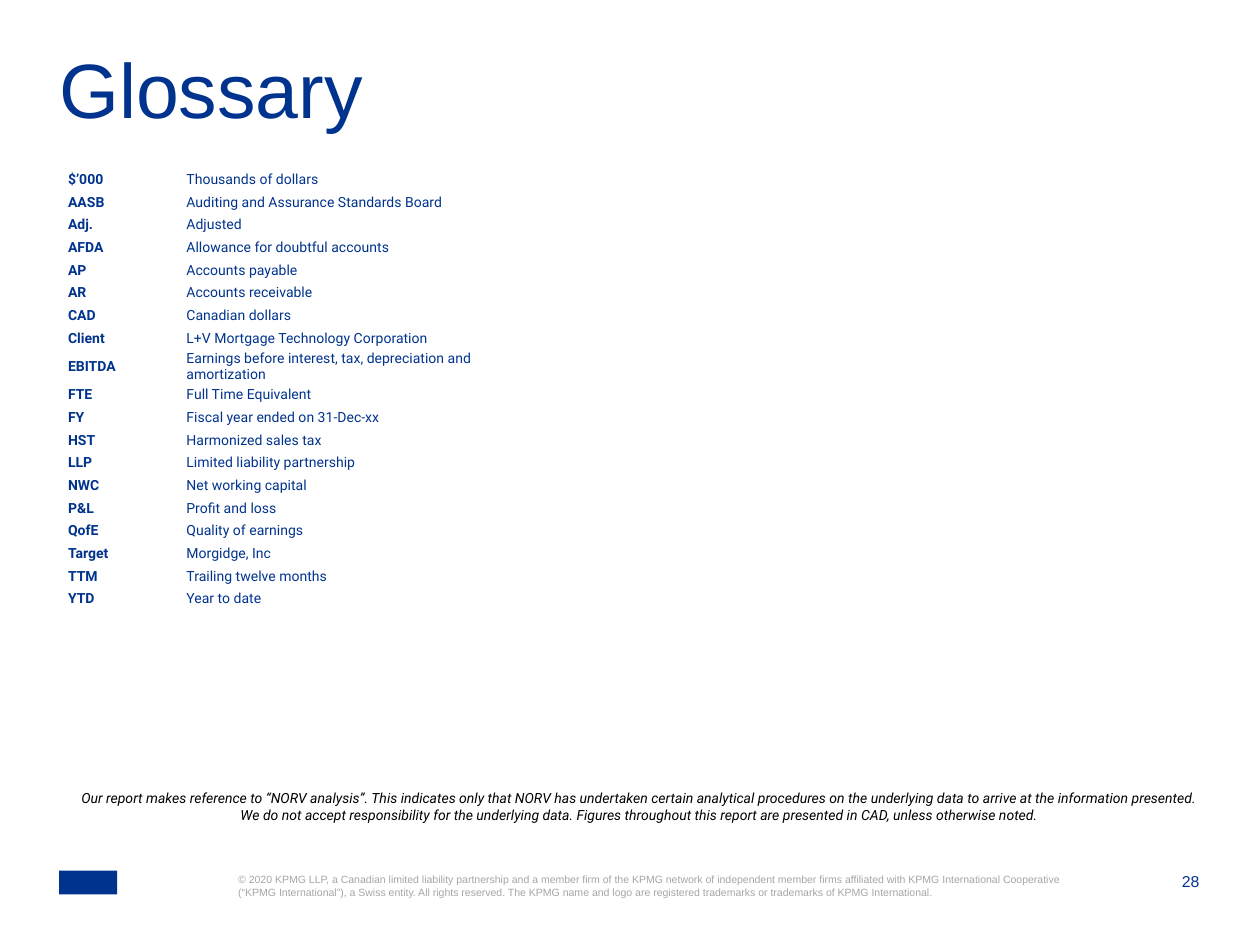
from dataclasses import dataclass

from pptx import Presentation
from pptx.dml.color import RGBColor
from pptx.enum.shapes import MSO_SHAPE
from pptx.enum.text import MSO_ANCHOR, MSO_AUTO_SIZE, PP_ALIGN
from pptx.util import Inches, Pt

WIDTH, HEIGHT = Inches(10), Inches(7.5)
COLOURS = {"blue": "00338D", "grey": "A6A6A6", "black": "000000"}


@dataclass(frozen=True)
class Area:
    """A rectangle in percent of the slide's width and height."""
    left: float
    top: float
    width: float
    height: float

    def lengths(self) -> tuple[int, int, int, int]:
        return (across(self.left), down(self.top),
                across(self.width), down(self.height))


@dataclass(frozen=True)
class Term:
    short: str
    meaning: str


TITLE_AREA = Area(4.7, 7.07, 90.6, 10.67)
TABLE_AREA = Area(5.3, 17.73, 37.7, 45.6)
NOTE_AREA = Area(5.3, 82.93, 91, 4.93)
MARK_AREA = Area(4.7, 92.13, 4.6, 2.53)
COPYRIGHT_AREA = Area(18.9, 92.4, 69.1, 2.67)
NUMBER_AREA = Area(91.5, 92.13, 3.7, 2.13)
COLUMN_WIDTHS = (9.4, 28.3)

TERMS = [
    Term("$’000", "Thousands of dollars"),
    Term("AASB", "Auditing and Assurance Standards Board"),
    Term("Adj.", "Adjusted"),
    Term("AFDA", "Allowance for doubtful accounts"),
    Term("AP", "Accounts payable"),
    Term("AR", "Accounts receivable"),
    Term("CAD", "Canadian dollars"),
    Term("Client", "L+V Mortgage Technology Corporation"),
    Term("EBITDA", "Earnings before interest, tax, depreciation and amortization"),
    Term("FTE", "Full Time Equivalent"),
    Term("FY", "Fiscal year ended on 31-Dec-xx"),
    Term("HST", "Harmonized sales tax"),
    Term("LLP", "Limited liability partnership"),
    Term("NWC", "Net working capital"),
    Term("P&L", "Profit and loss"),
    Term("QofE", "Quality of earnings"),
    Term("Target", "Morgidge, Inc"),
    Term("TTM", "Trailing twelve months"),
    Term("YTD", "Year to date"),
]
NOTE = (
    "Our report makes reference to “NORV analysis”. This indicates only that NORV "
    "has undertaken certain analytical procedures on the underlying data to arrive "
    "at the information presented. We do not accept responsibility for the "
    "underlying data. Figures throughout this report are presented in CAD, unless "
    "otherwise noted."
)
COPYRIGHT = (
    "© 2020 KPMG LLP, a Canadian limited liability partnership and a member firm of "
    "the KPMG network of independent member firms affiliated with KPMG "
    "International Cooperative \n"
    "(“KPMG International”), a Swiss entity. All rights reserved. The KPMG name and "
    "logo are registered trademarks or trademarks of KPMG International."
)


def across(percent: float) -> int:
    return round(WIDTH * percent / 100)


def down(percent: float) -> int:
    return round(HEIGHT * percent / 100)


def write(frame, text: str, *, size: float, colour: str = "blue",
          font: str = "Arial", bold: bool = False, italic: bool = False,
          align=PP_ALIGN.LEFT, spacing: float = 1.0):
    """Fill a text frame with one paragraph; a newline becomes a line break."""
    frame.word_wrap = True
    para = frame.paragraphs[0]
    para.text = text
    para.alignment = align
    para.line_spacing = spacing
    for span in para.runs:
        span.font.name = font
        span.font.size = Pt(size)
        span.font.bold = bold
        span.font.italic = italic
        span.font.color.rgb = RGBColor.from_string(COLOURS[colour])
    return para


def set_frame(frame, anchor, inset: float = 0) -> None:
    frame.auto_size = MSO_AUTO_SIZE.NONE
    frame.vertical_anchor = anchor
    frame.margin_left = frame.margin_right = Inches(inset)
    frame.margin_top = frame.margin_bottom = Inches(inset)


def add_text(page, area: Area, text: str, *, anchor, inset: float = 0, **style):
    box = page.shapes.add_textbox(*area.lengths())
    set_frame(box.text_frame, anchor, inset)
    return write(box.text_frame, text, **style)


def add_title(page, text: str) -> None:
    title = page.shapes.title
    title.left, title.top, title.width, title.height = TITLE_AREA.lengths()
    set_frame(title.text_frame, MSO_ANCHOR.TOP)
    write(title.text_frame, text, size=44, spacing=0.7)


def add_mark(page) -> None:
    """Draw a plain block where the firm's mark belongs."""
    mark = page.shapes.add_shape(MSO_SHAPE.RECTANGLE, *MARK_AREA.lengths())
    mark.shadow.inherit = False
    mark.fill.solid()
    mark.fill.fore_color.rgb = RGBColor.from_string(COLOURS["blue"])
    mark.line.fill.background()


def add_glossary(page, terms: list[Term]) -> None:
    table = page.shapes.add_table(
        len(terms), len(COLUMN_WIDTHS), *TABLE_AREA.lengths()).table
    table.first_row = table.horz_banding = False
    for column, width in zip(table.columns, COLUMN_WIDTHS):
        column.width = across(width)
    for row, term in zip(table.rows, terms):
        row.height = down(TABLE_AREA.height / len(terms))
        for cell, text in zip(row.cells, (term.short, term.meaning)):
            cell.fill.background()
            cell.vertical_anchor = MSO_ANCHOR.MIDDLE
            cell.margin_left = cell.margin_right = cell.margin_top = Inches(0.01)
            cell.margin_bottom = 0
            write(cell.text_frame, text, size=8, font="Roboto",
                  bold=text == term.short)


def main() -> None:
    deck = Presentation()
    deck.slide_width, deck.slide_height = WIDTH, HEIGHT
    page = deck.slides.add_slide(deck.slide_layouts.get_by_name("Title Only"))

    add_mark(page)
    add_text(page, NUMBER_AREA, "28", anchor=MSO_ANCHOR.BOTTOM, size=9,
             align=PP_ALIGN.RIGHT)
    add_text(page, COPYRIGHT_AREA, COPYRIGHT, anchor=MSO_ANCHOR.MIDDLE, size=6,
             colour="grey")
    add_title(page, "Glossary")
    note = add_text(page, NOTE_AREA, NOTE, anchor=MSO_ANCHOR.TOP, inset=0.05,
                    size=8, colour="black", font="Roboto", italic=True,
                    align=PP_ALIGN.CENTER)
    note.space_after = Pt(6)
    add_glossary(page, TERMS)
    deck.save("out.pptx")


if __name__ == "__main__":
    main()
